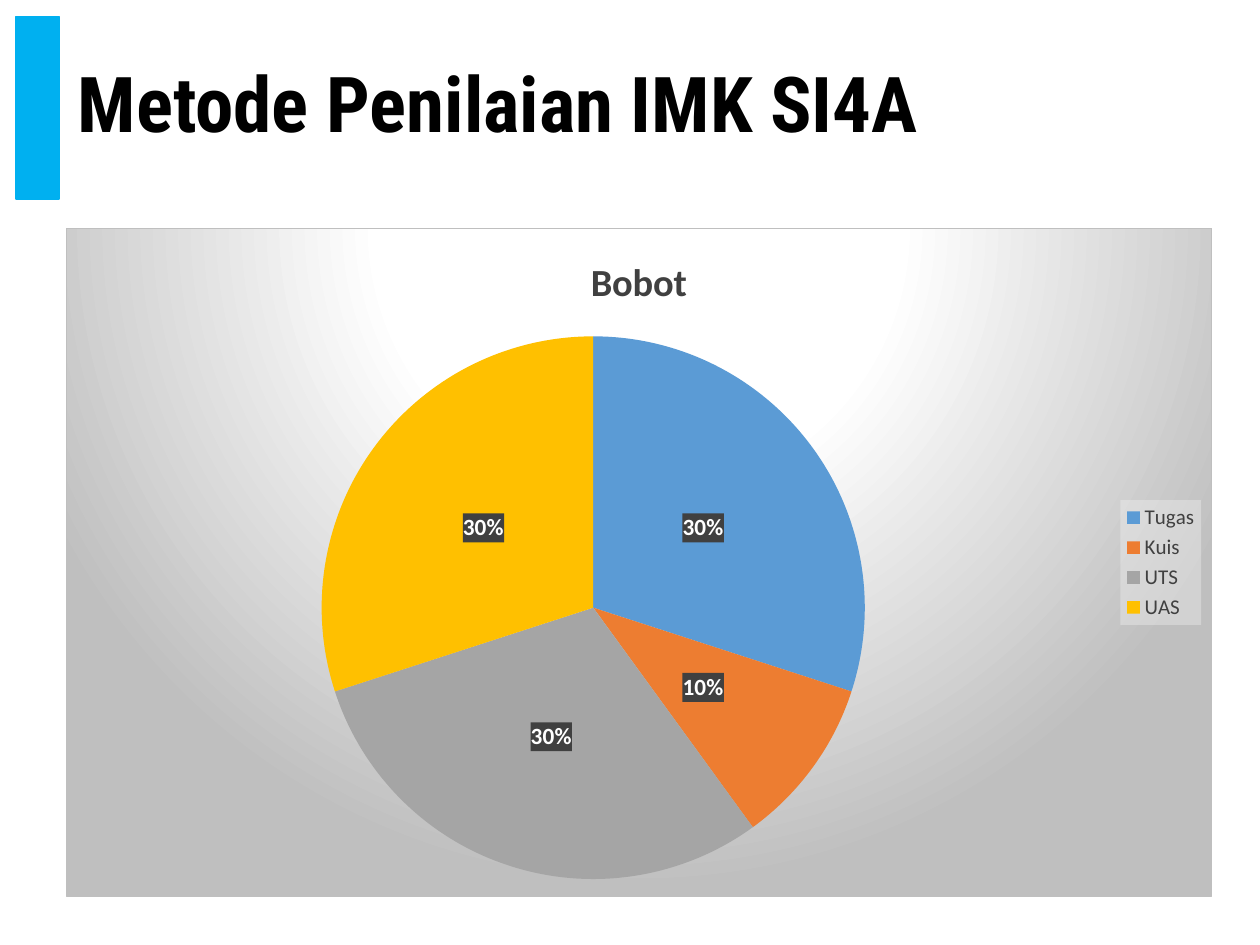
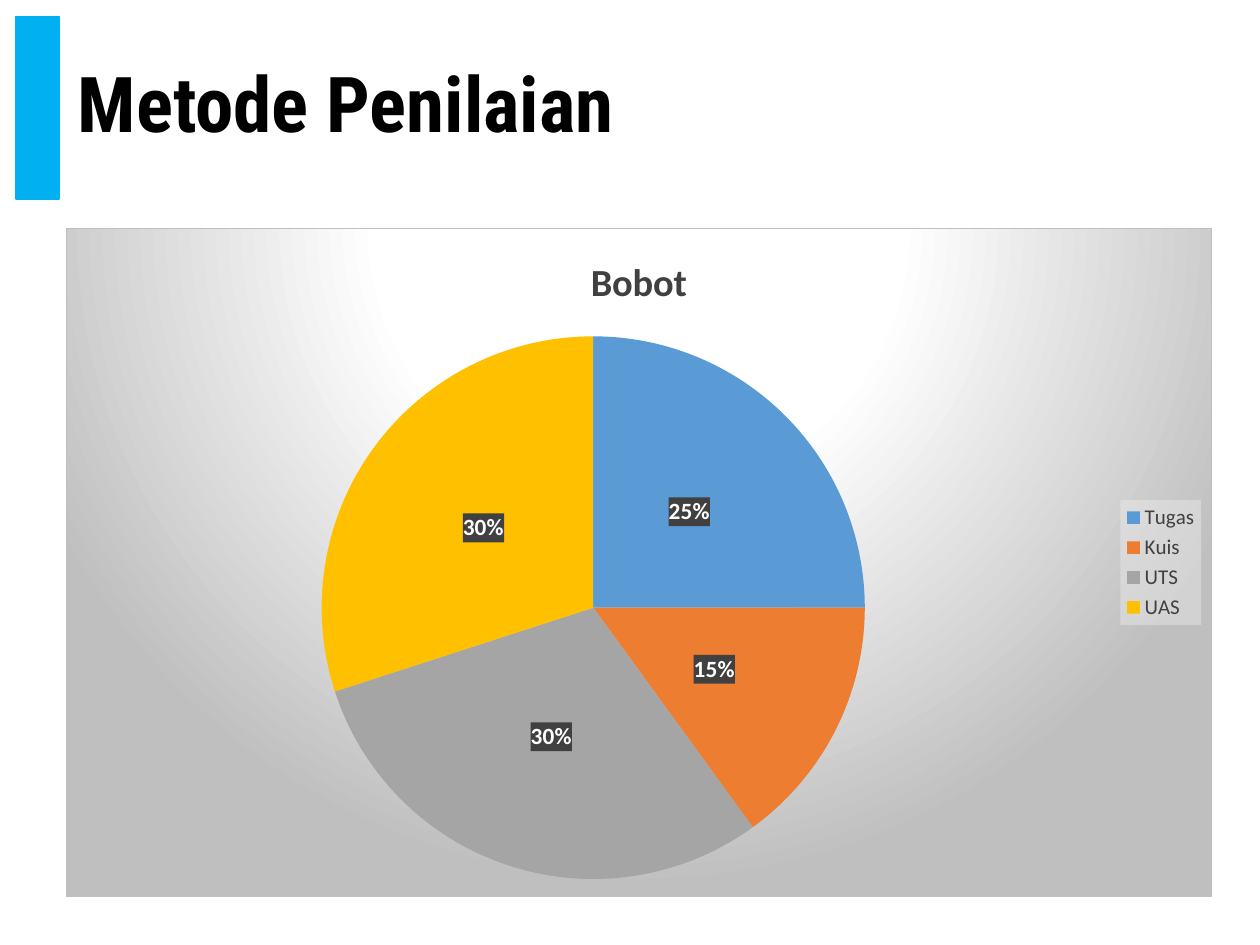
from lxml import etree
from pptx import Presentation
from pptx.chart.data import CategoryChartData
from pptx.dml.color import RGBColor
from pptx.enum.chart import XL_CHART_TYPE, XL_LABEL_POSITION as LabelPosition, XL_LEGEND_POSITION as LegendPosition
from pptx.enum.shapes import MSO_SHAPE
from pptx.enum.text import MSO_ANCHOR
from pptx.util import Inches, Pt

COLORS = {
    "accent": "00B0F0", "title": "000000", "text": "404040", "label": "FFFFFF",
    "light": "FFFFFF", "edge": "BFBFBF", "legend": "F2F2F2",
    "Tugas": "5B9BD5", "Kuis": "ED7D31", "UTS": "A5A5A5", "UAS": "FFC000",
}
COMPONENTS = ["Tugas", "Kuis", "UTS", "UAS"]
SLIDES = [
    ("Metode Penilaian IMK SI4A", [30, 10, 30, 30]),
    ("Metode Penilaian", [25, 15, 30, 30]),
]
NAMESPACES = (
    'xmlns:c="http://schemas.openxmlformats.org/drawingml/2006/chart" '
    'xmlns:a="http://schemas.openxmlformats.org/drawingml/2006/main"'
)
GRADIENT = (
    "<a:gradFill><a:gsLst>"
    + "".join(
        f'<a:gs pos="{stop * 1000}"><a:srgbClr val="{COLORS[name]}"/></a:gs>'
        for stop, name in [(0, "light"), (39, "light"), (100, "edge")]
    )
    + '</a:gsLst><a:path path="circle">'
    '<a:fillToRect l="50000" t="-80000" r="50000" b="180000"/></a:path></a:gradFill>'
    f'<a:ln w="9525"><a:solidFill><a:srgbClr val="{COLORS["edge"]}"/></a:solidFill></a:ln>'
)
TINT = '<a:solidFill><a:srgbClr val="{}"><a:alpha val="{}"/></a:srgbClr></a:solidFill><a:ln><a:noFill/></a:ln>'


def style_font(font, size, color, bold=False, name="Calibri"):
    font.name = name
    font.size = Pt(size)
    font.bold = bold
    font.color.rgb = RGBColor.from_string(COLORS[color])


def paint(chart_part, fill):
    properties = etree.fromstring(f"<c:spPr {NAMESPACES}>{fill}</c:spPr>")
    chart_part.xpath("./c:txPr")[0].addprevious(properties)


prs = Presentation()
prs.slide_width = Inches(10)
prs.slide_height = Inches(7.5)

for heading, weights in SLIDES:
    slide = prs.slides.add_slide(prs.slide_layouts[6])

    band = slide.shapes.add_shape(MSO_SHAPE.RECTANGLE, Inches(0.13), Inches(0.13), Inches(0.34), Inches(1.45))
    band.shadow.inherit = False
    band.fill.solid()
    band.fill.fore_color.rgb = RGBColor.from_string(COLORS["accent"])
    band.line.color.rgb = RGBColor.from_string(COLORS["accent"])
    band.line.width = Pt(1)

    title_frame = slide.shapes.add_textbox(Inches(0.52), Inches(0.13), Inches(9.1), Inches(1.45)).text_frame
    title_frame.word_wrap = True
    title_frame.vertical_anchor = MSO_ANCHOR.MIDDLE
    title = title_frame.paragraphs[0]
    title.text = heading
    title.line_spacing = 0.9
    style_font(title.font, 44, "title", True, "Roboto Condensed")

    grading = CategoryChartData()
    grading.categories = COMPONENTS
    grading.add_series("Bobot", weights)
    chart = slide.shapes.add_chart(
        XL_CHART_TYPE.PIE, Inches(0.52), Inches(1.81), Inches(9.1), Inches(5.31), grading
    ).chart
    style_font(chart.font, 10, "title")
    paint(chart._chartSpace, GRADIENT)

    chart.has_title = True
    chart_title = chart.chart_title.text_frame.paragraphs[0]
    chart_title.text = "Bobot"
    style_font(chart_title.font, 22, "text", True)

    chart.has_legend = True
    legend = chart.legend
    legend.position = LegendPosition.RIGHT
    legend.include_in_layout = False
    style_font(legend.font, 12, "text")
    paint(legend._element, TINT.format(COLORS["legend"], 39000))

    pie = chart.plots[0]
    pie.vary_by_categories = True
    weight_series = pie.series[0]
    for index, component in enumerate(COMPONENTS):
        slice_fill = weight_series.points[index].format.fill
        slice_fill.solid()
        slice_fill.fore_color.rgb = RGBColor.from_string(COLORS[component])

    labels = weight_series.data_labels
    labels.show_percentage = True
    labels.show_value = False
    labels.number_format = "0%"
    labels.number_format_is_linked = False
    labels.position = LabelPosition.CENTER
    style_font(labels.font, 13.3, "label", True)
    paint(labels._element, TINT.format(COLORS["text"], 75000))

prs.save("out.pptx")
